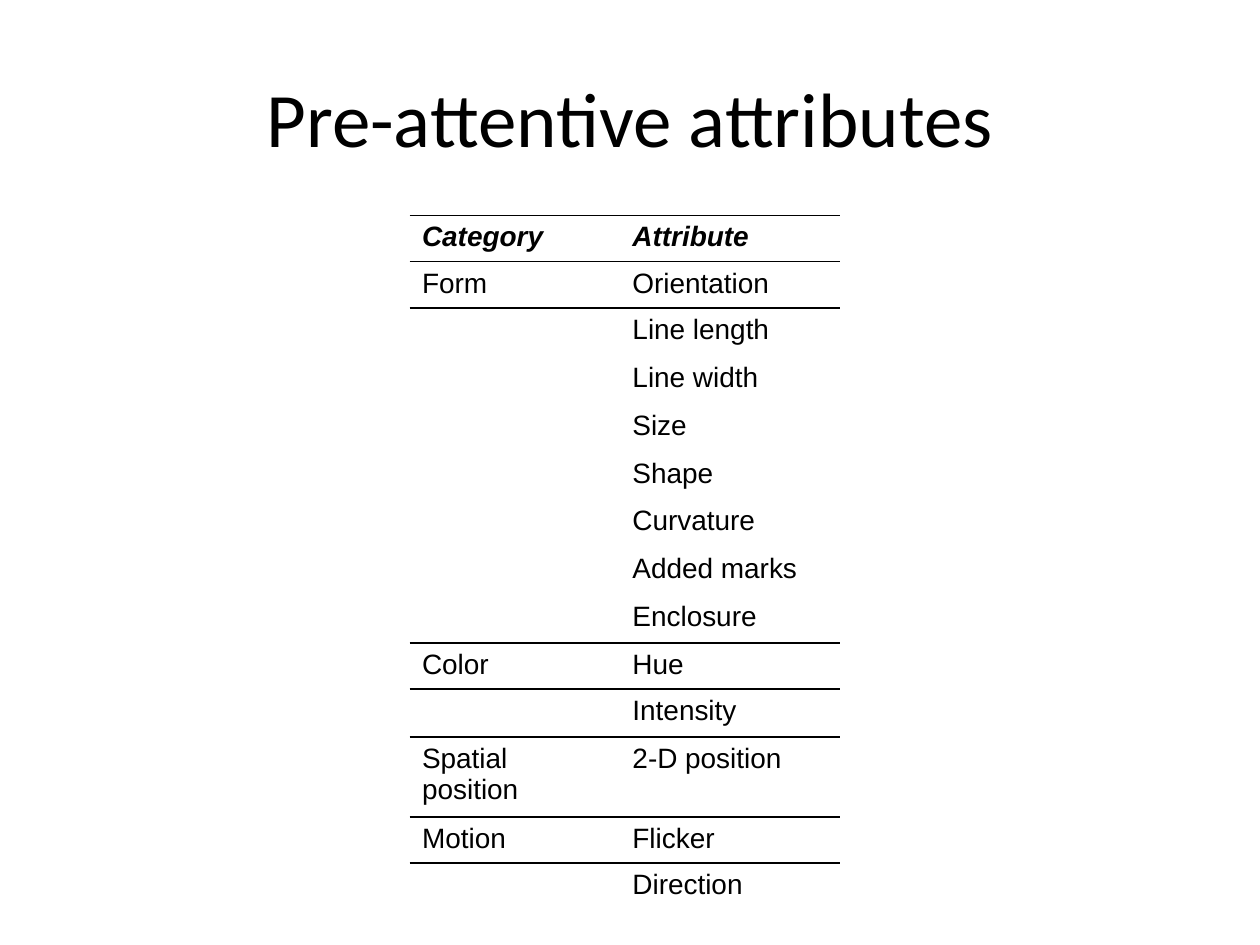
from lxml import etree
from pptx import Presentation
from pptx import util as u
from pptx.dml.color import RGBColor
from pptx.enum import text
from pptx.oxml import ns

BLACK = RGBColor(0x00, 0x00, 0x00)
ROWS = [
    ("Category", "Attribute"),
    ("Form", "Orientation"),
    ("", "Line length"),
    ("", "Line width"),
    ("", "Size"),
    ("", "Shape"),
    ("", "Curvature"),
    ("", "Added marks"),
    ("", "Enclosure"),
    ("Color", "Hue"),
    ("", "Intensity"),
    ("Spatial position", "2-D position"),
    ("Motion", "Flicker"),
    ("", "Direction"),
]
RULED_ABOVE = {0, 1, 2, 9, 10, 11, 12, 13}
COL_WIDTHS = (1.67, 1.75)


class Deck:
    """Holds the text style and the current slide."""

    title_font, title_size = "Calibri", 44
    body_font, body_size = "Arial", 16

    def __init__(self, prs):
        self.s = prs.slides.add_slide(prs.slide_layouts[6])

    def run(self, p, words, name, size, strong=False):
        r = p.add_run()
        r.text = words
        f = r.font
        f.name, f.size = name, u.Pt(size)
        f.bold = f.italic = strong
        f.color.rgb = BLACK

    def title(self, words, left, top, width, height):
        sp = self.s.shapes.add_textbox(*map(u.Inches, (left, top, width, height)))
        tf = sp.text_frame
        tf.word_wrap = True
        tf.vertical_anchor = text.MSO_ANCHOR.MIDDLE
        p = tf.paragraphs[0]
        p.alignment = text.PP_ALIGN.CENTER
        self.run(p, words, self.title_font, self.title_size)

    def border(self, cell, side, ruled):
        tc_pr = cell._tc.get_or_add_tcPr()
        ln = etree.SubElement(tc_pr, ns.qn(f"a:ln{side}"), w=str(u.Pt(1)))
        if ruled:
            fill = etree.SubElement(ln, ns.qn("a:solidFill"))
            etree.SubElement(fill, ns.qn("a:srgbClr"), val=str(BLACK))
        else:
            etree.SubElement(ln, ns.qn("a:noFill"))

    def size_empty(self, p):
        end = etree.SubElement(p._p, ns.qn("a:endParaRPr"), sz=str(self.body_size * 100))
        etree.SubElement(end, ns.qn("a:latin"), typeface=self.body_font)

    def table(self, rows, ruled_above, left, top, widths, heights):
        box = map(u.Inches, (left, top, sum(widths), sum(heights)))
        table = self.s.shapes.add_table(len(rows), len(widths), *box).table
        table.first_row = table.horz_banding = False
        for col, width in zip(table.columns, widths):
            col.width = u.Inches(width)
        for i, (row, height) in enumerate(zip(rows, heights)):
            table.rows[i].height = u.Inches(height)
            for j, words in enumerate(row):
                cell = table.cell(i, j)
                p = cell.text_frame.paragraphs[0]
                if words:
                    self.run(p, words, self.body_font, self.body_size, i == 0)
                else:
                    self.size_empty(p)
                sides = {"L": False, "R": False, "T": i in ruled_above, "B": i + 1 in ruled_above}
                for side, ruled in sides.items():
                    self.border(cell, side, ruled)
                cell.fill.background()


def row_height(category):
    if not category:
        return 0.38
    return 0.6 if " " in category else 0.36


def main():
    prs = Presentation()
    prs.slide_width, prs.slide_height = u.Inches(10), u.Inches(7.5)
    deck = Deck(prs)
    deck.title("Pre-attentive attributes", 0.5, 0.3, 9, 1.25)
    heights = [row_height(category) for category, _ in ROWS]
    deck.table(ROWS, RULED_ABOVE, 3.25, 1.71, COL_WIDTHS, heights)
    prs.save("out.pptx")


if __name__ == "__main__":
    main()
